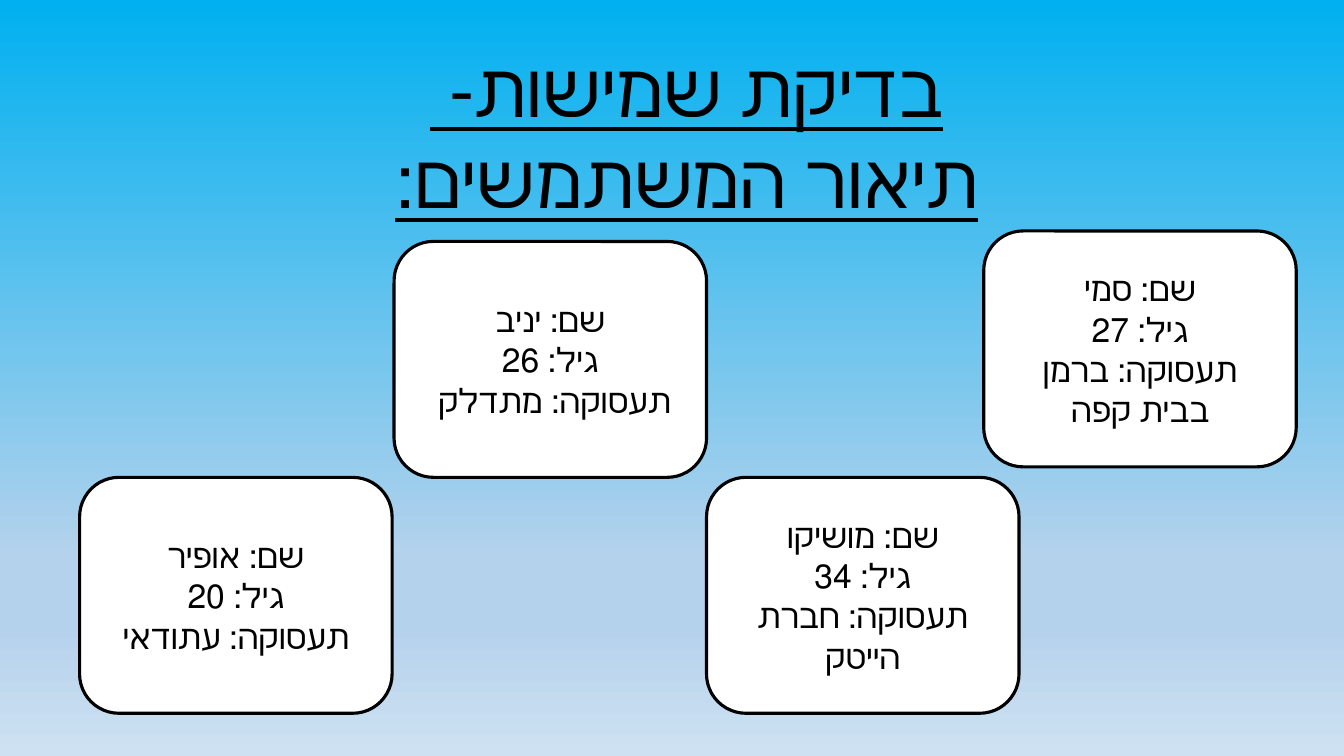
"""Build a slide that introduces the four people of a usability test."""
from copy import deepcopy

from pptx import Presentation
from pptx.dml.color import RGBColor
from pptx.enum.shapes import MSO_SHAPE
from pptx.enum.text import MSO_ANCHOR, MSO_AUTO_SIZE, PP_ALIGN
from pptx.oxml.ns import qn
from pptx.util import Pt

COLORS = {"ink": "000000", "card": "FFFFFF", "sky": "00B0F0", "haze": "B5D2EC", "mist": "CEE1F2"}
BACKGROUND_STOPS = [(0, "sky"), (0.74, "haze"), (0.83, "haze"), (1, "mist")]
TITLE_LINES = ["בדיקת שמישות- ", "תיאור המשתמשים:"]
CARD_WIDTH, CARD_HEIGHT = 223.2, 168.5
USERS = [
    (702.7, 165, "סמי", 27, "ברמן בבית קפה"),
    (504.7, 341, "מושיקו", 34, "חברת הייטק"),
    (281.5, 172.5, "יניב", 26, "מתדלק "),
    (56.9, 341, "אופיר", 20, "עתודאי"),
]


def color(name):
    return RGBColor.from_string(COLORS[name])


def write_lines(frame, lines, font_name, size, underline=None):
    frame.text = "\n".join(lines)
    for paragraph in frame.paragraphs:
        paragraph.alignment = PP_ALIGN.CENTER
        paragraph._p.get_or_add_pPr().set("rtl", "1")
        paragraph.font.name = font_name
        paragraph.font.size = Pt(size)
        paragraph.font.underline = underline
        paragraph.font.color.rgb = color("ink")


deck = Presentation()
deck.slide_width, deck.slide_height = Pt(960), Pt(540)
slide = deck.slides.add_slide(deck.slide_layouts[5])

background = slide.background.fill
background.gradient()
background.gradient_angle = 270
stop_list = slide.element.find(".//" + qn("a:gsLst"))
while len(stop_list) < len(BACKGROUND_STOPS):
    stop_list.append(deepcopy(stop_list[0]))
for stop, (position, name) in zip(background.gradient_stops, BACKGROUND_STOPS):
    stop.position = position
    stop.color.rgb = color(name)

title = slide.shapes.title
title.left, title.top, title.width, title.height = Pt(258.5), Pt(26.6), Pt(464.4), Pt(138.2)
title.text_frame.word_wrap = False
title.text_frame.auto_size = MSO_AUTO_SIZE.SHAPE_TO_FIT_TEXT
title.text_frame.vertical_anchor = MSO_ANCHOR.TOP
write_lines(title.text_frame, TITLE_LINES, "Calibri", 54, underline=True)

for left, top, name, age, job in USERS:
    card = slide.shapes.add_shape(
        MSO_SHAPE.ROUNDED_RECTANGLE, Pt(left), Pt(top), Pt(CARD_WIDTH), Pt(CARD_HEIGHT))
    card.shadow.inherit = False
    card.fill.solid()
    card.fill.fore_color.rgb = color("card")
    card.line.color.rgb = color("ink")
    card.line.width = Pt(2.25)
    card.text_frame.word_wrap = True
    card.text_frame.vertical_anchor = MSO_ANCHOR.MIDDLE
    write_lines(card.text_frame, [f"שם: {name}", f"גיל: {age}", f"תעסוקה: {job}"],
                "DejaVu Sans Mono", 24)

deck.save("out.pptx")
